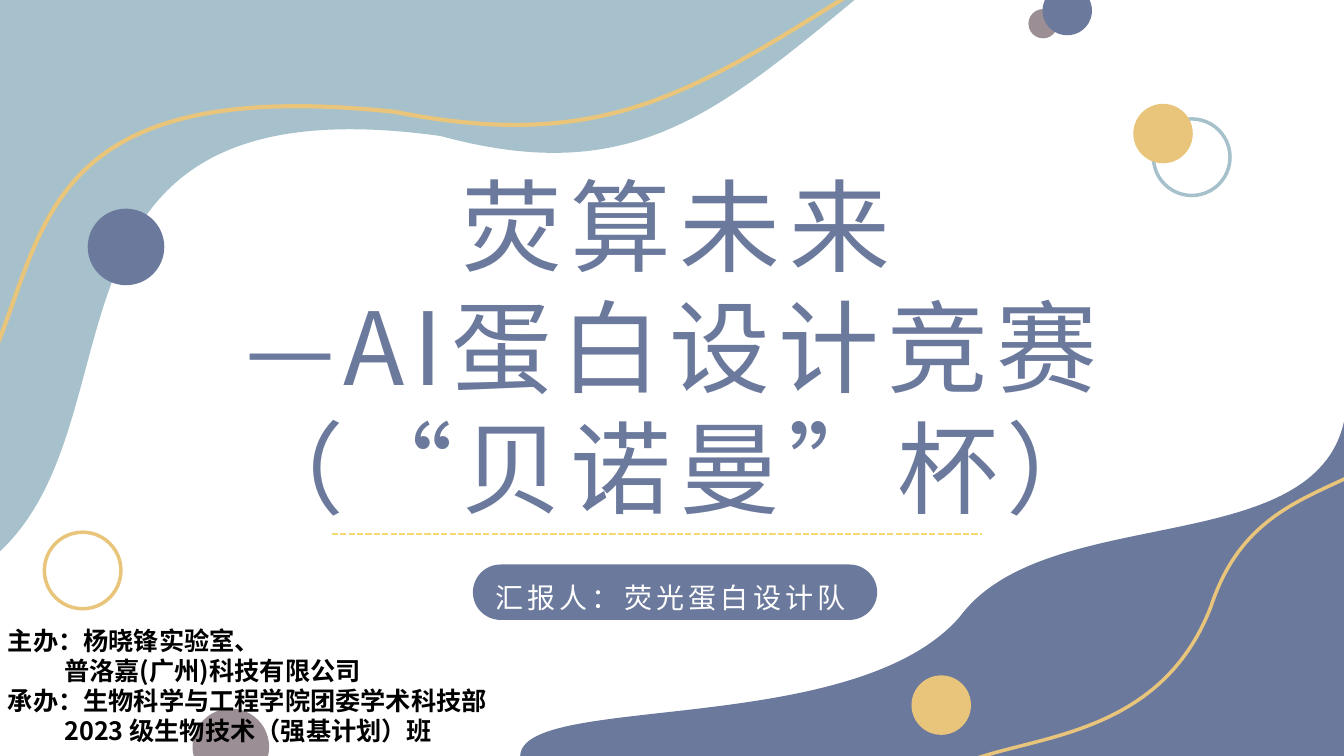
from pptx import Presentation
from pptx.dml.color import RGBColor
from pptx.enum.dml import MSO_LINE
from pptx.enum.shapes import MSO_CONNECTOR, MSO_SHAPE
from pptx.enum.text import MSO_ANCHOR, MSO_AUTO_SIZE, PP_ALIGN
from pptx.oxml.ns import qn
from pptx.util import Inches, Pt
from lxml.etree import SubElement

theme = {
    "font": "Noto Sans CJK SC",
    "slate": "6B799C", "mist": "A6C1CC", "gold": "E9C57B", "mauve": "9B8E95",
    "lemon": "F4D973", "white": "FFFFFF", "black": "000000",
    "title": 72, "subtitle": 20, "hosts": 18,
    "leading": 1.2,
}

prs = Presentation()
prs.slide_width, prs.slide_height = Inches(13.33), Inches(7.5)
cell = Inches(1) / 3
s = prs.slides.add_slide(prs.slide_layouts[0])
title, subtitle = s.placeholders
tree = title.element.getparent()


def paint(sp, fill, line, width=2.5):
    sp.shadow.inherit = False
    if fill:
        sp.fill.solid()
        sp.fill.fore_color.rgb = RGBColor.from_string(theme[fill])
    else:
        sp.fill.background()
    if line:
        sp.line.color.rgb = RGBColor.from_string(theme[line])
        sp.line.width = Pt(width)
    else:
        sp.line.fill.background()


def write(sp, box, lines, size, color, align, bold=False, spacing=0):
    for name, value in zip(("left", "top", "width", "height"), box):
        setattr(sp, name, round(value * cell))
    tf = sp.text_frame
    for name, value in {"word_wrap": True, "auto_size": MSO_AUTO_SIZE.NONE,
                        "vertical_anchor": MSO_ANCHOR.TOP}.items():
        setattr(tf, name, value)
    for i, (text, indent) in enumerate(lines):
        p = tf.add_paragraph() if i else tf.paragraphs[0]
        for name, value in {"alignment": align, "space_before": Pt(0),
                            "line_spacing": Pt(theme[size] * theme["leading"])}.items():
            setattr(p, name, value)
        if indent:
            pPr = p._p.get_or_add_pPr()
            pPr.set("marL", str(round(indent * cell)))
            pPr.set("indent", "0")
        r = p.add_run()
        r.text = text
        for name, value in {"size": Pt(theme[size]), "bold": bold, "name": theme["font"]}.items():
            setattr(r.font, name, value)
        r.font.color.rgb = RGBColor.from_string(theme[color])
        rPr = r._r.get_or_add_rPr()
        if spacing:
            rPr.set("spc", str(spacing * 100))
        SubElement(rPr, qn("a:ea")).set("typeface", theme["font"])


curves = [
    ([(0, -0.21), (25.68, -0.21), (21.27, 3.45, 18.75, 5.58, 13.11, 4.05),
      (0.51, 2.31, 4.38, 12.3, 0, 16.41)], "mist", None, 0),
    ([(-2.34, -0.15), (25.26, -0.15), (20.52, 2.82, 17.82, 4.53, 11.76, 3.33),
      (-1.77, 1.89, 2.37, 10.02, -2.34, 13.38)], None, "gold", 3),
    ([(28.56, 18.36), (31.11, 14.91, 39.12, 16.71, 40, 12.51), (40, 22.5),
      (15.48, 22.5), (15.54, 20.61, 25.41, 21.99, 28.56, 18.36)], "slate", None, 0),
    ([(36.03, 18.06), (37.68, 13.02, 42.84, 15.66, 43.38, 9.51), (43.38, 24.09),
      (27.6, 24.09), (27.66, 21.33, 33.99, 23.34, 36.03, 18.06)], None, "gold", 2.5),
]
for segments, fill, line, width in curves:
    points = [(round(seg[i] * cell), round(seg[i + 1] * cell))
              for seg in segments for i in range(0, len(seg), 2)]
    outline = s.shapes.build_freeform(*points[0])
    outline.add_line_segments(points[1:], close=True)
    sp = outline.convert_to_shape()
    steps = iter(list(sp.element.iter(qn("a:lnTo"))))
    for seg in segments[1:]:
        step = next(steps)
        if len(seg) == 6:
            step.tag = qn("a:cubicBezTo")
            for _ in range(2):
                extra = next(steps)
                step.append(extra[0])
                extra.getparent().remove(extra)
    paint(sp, fill, line, width)

small, medium, large = 0.87, 1.77, 2.28
circles = [
    (34.32, 3.54, large, None, "mist"),
    (30.6, 0.27, small, "mauve", None),
    (31.02, -0.42, 1.47, "slate", None),
    (33.72, 3.09, medium, "gold", None),
    (2.61, 6.21, large, "slate", None),
    (27.12, 20.1, medium, "gold", None),
    (5.73, 21.09, large, "mauve", None),
    (1.32, 15.84, large, None, "gold"),
]
for x, y, d, fill, line in circles:
    box = [round(v * cell) for v in (x, y, d, d)]
    paint(s.shapes.add_shape(MSO_SHAPE.OVAL, *box), fill, line)

pill = s.shapes.add_shape(MSO_SHAPE.ROUNDED_RECTANGLE,
                          *[round(v * cell) for v in (14.07, 16.8, 12.03, 1.65)])
pill.adjustments[0] = 0.5
paint(pill, "slate", None)

rule = s.shapes.add_connector(MSO_CONNECTOR.STRAIGHT,
                              *[round(v * cell) for v in (9.87, 15.9, 29.22, 15.9)])
rule.line.color.rgb = RGBColor.from_string(theme["lemon"])
rule.line.width = Pt(1.5)
rule.line.dash_style = MSO_LINE.SQUARE_DOT
SubElement(rule._element.spPr, qn("a:effectLst"))

for sp in (title, subtitle):
    tree.append(sp.element)
write(title, (3.15, 4.71, 33.93, 14.85),
      [("荧算未来", 0), ("—AI蛋白设计竞赛（“贝诺曼”杯）", 0)],
      "title", "slate", PP_ALIGN.CENTER, spacing=6)
write(subtitle, (14.22, 17.13, 11.46, 1.32), [("汇报人：荧光蛋白设计队", 0)],
      "subtitle", "white", PP_ALIGN.CENTER, spacing=3)
hosts = s.shapes.add_textbox(0, 0, 0, 0)
write(hosts, (-0.06, 18.45, 22.14, 3.03),
      [("主办：杨晓锋实验室、", 0), ("普洛嘉(广州)科技有限公司", 1.68),
       ("承办：生物科学与工程学院团委学术科技部", 0), ("2023 级生物技术（强基计划）班", 1.68)],
      "hosts", "black", PP_ALIGN.LEFT, bold=True)

prs.save("out.pptx")
